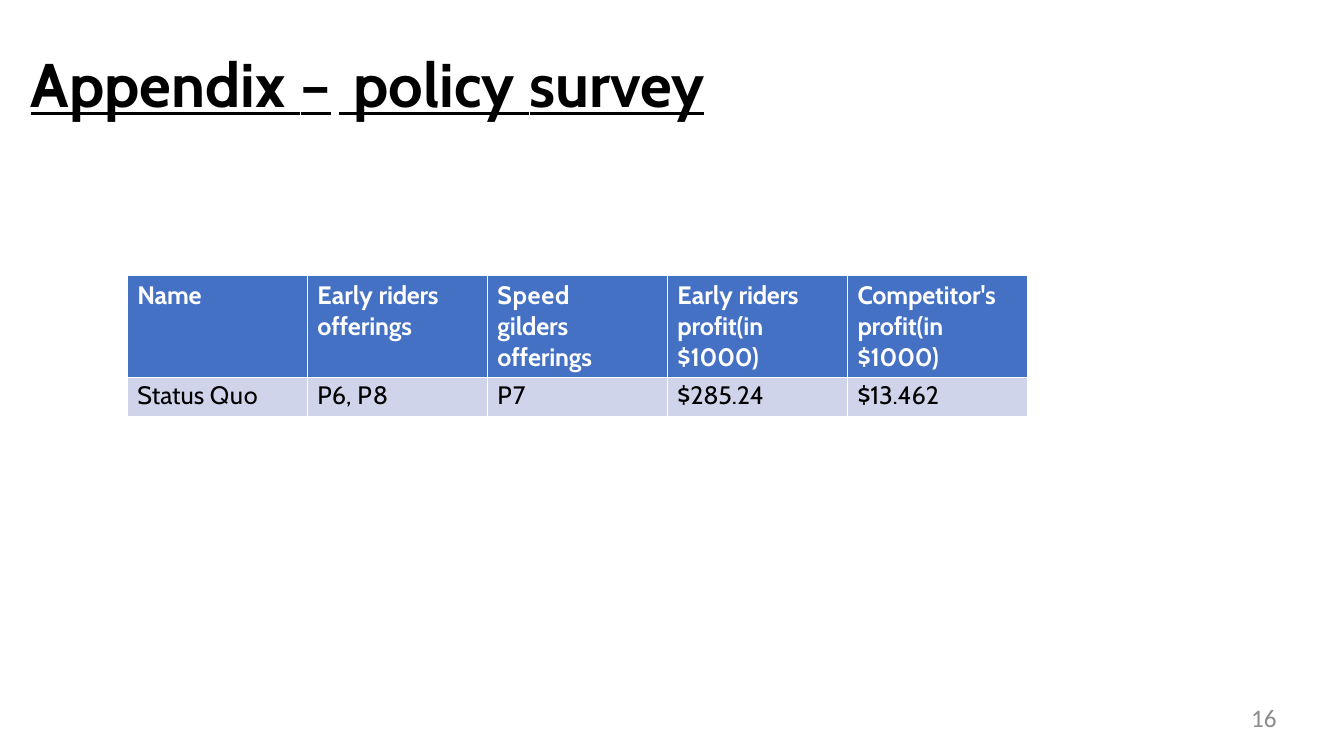
from lxml import etree
from pptx import Presentation
from pptx.dml.color import RGBColor
from pptx.enum.text import MSO_ANCHOR, MSO_AUTO_SIZE, PP_ALIGN
from pptx.oxml.ns import qn
from pptx.util import Pt

TOP = MSO_ANCHOR.TOP
GROW = MSO_AUTO_SIZE.SHAPE_TO_FIT_TEXT
LEFT, RIGHT = PP_ALIGN.LEFT, PP_ALIGN.RIGHT
COLORS = {"black": "000000", "white": "FFFFFF", "header": "4471C4",
          "body": "CFD4EA", "number": "8C8C8C"}

TITLE = [("Appendix", 0), (" ", 0.6), ("–", 5.8), (" ", -0.3),
         ("policy", 0), (" ", 0.6), ("survey", -0.1)]
HEADERS = [
    [[("Name", -0.2)]],
    [[("Early ", 0), ("riders ", -0.2), ("offerings", -0.1)]],
    [[("Speed ", 0.5), ("gilders offerings", -0.1)]],
    [[("Early ", 0), ("riders ", -0.2), ("profit(in", -0.1)], [("$1000)", -0.1)]],
    [[("Competitor's profit(in", -0.1)], [("$1000)", -0.1)]],
]
STATUS_QUO = [
    [[("Status ", 0), ("Quo", 0.5)]],
    [[("P6, ", 0), ("P8", 0.8)]],
    [[("P7", 0.8)]],
    [[("$285.24", -0.1)]],
    [[("$13.462", -0.1)]],
]


def add_spans(para, spans, size, color, font="Cabin", bold=False, underline=False):
    for text, spacing in spans:
        span = para.add_run()
        span.text = text
        span.font.name = font
        span.font.size = Pt(size)
        span.font.bold = bold
        span.font.underline = underline
        span.font.color.rgb = RGBColor.from_string(COLORS[color])
        if spacing:
            span.font._element.set("spc", str(round(spacing * 100)))


def clear_insets(frame, top=0):
    frame.margin_left = frame.margin_right = frame.margin_bottom = 0
    frame.margin_top = Pt(top)


def place(shape, left, top, width, height):
    shape.left, shape.top = Pt(left), Pt(top)
    shape.width, shape.height = Pt(width), Pt(height)


def add_title(page, left, top, width, height):
    box = page.shapes.title
    place(box, left, top, width, height)
    frame = box.text_frame
    clear_insets(frame, top=1)
    frame.word_wrap = True
    frame.auto_size = GROW
    frame.vertical_anchor = TOP
    para = frame.paragraphs[0]
    para.alignment = LEFT
    para.space_before = Pt(1.1)
    add_spans(para, TITLE, 44, "black", bold=True, underline=True)


def draw_borders(cell, sides):
    properties = cell._tc.get_or_add_tcPr()
    for position, side in enumerate(sides):
        line = etree.Element(qn(f"a:ln{side}"), w=str(Pt(1)))
        fill = etree.SubElement(line, qn("a:solidFill"))
        etree.SubElement(fill, qn("a:srgbClr"), val=COLORS["white"])
        properties.insert(position, line)


def fill_cell(cell, paragraphs, fill, color, bold, inset, sides):
    cell.fill.solid()
    cell.fill.fore_color.rgb = RGBColor.from_string(COLORS[fill])
    clear_insets(cell, inset)
    cell.margin_left = Pt(7.2)
    cell.vertical_anchor = TOP
    for index, spans in enumerate(paragraphs):
        frame = cell.text_frame
        para = frame.add_paragraph() if index else frame.paragraphs[0]
        para.space_before = Pt(0 if index else inset)
        add_spans(para, spans, 18, color, bold=bold)
    draw_borders(cell, sides)


def add_survey_table(page, left, top, width, row_heights):
    table = page.shapes.add_table(2, len(HEADERS), Pt(left), Pt(top),
                                  Pt(width), Pt(sum(row_heights))).table
    for row, height in zip(table.rows, row_heights):
        row.height = Pt(height)
    for index, column in enumerate(table.columns):
        column.width = Pt(width / len(HEADERS))
        fill_cell(table.cell(0, index), HEADERS[index], "header", "white", True, 3.3, "LRT")
        fill_cell(table.cell(1, index), STATUS_QUO[index], "body", "black", False, 1.6, "LRB")
    table.cell(0, 2).margin_right = Pt(40)


def add_page_number(page, left, top, width, height):
    box = page.shapes.add_textbox(Pt(left), Pt(top), Pt(width), Pt(height))
    frame = box.text_frame
    clear_insets(frame)
    frame.word_wrap = True
    frame.auto_size = GROW
    para = frame.paragraphs[0]
    para.alignment = RIGHT
    add_spans(para, [("16", 0)], 18, "number", font="Calibri")


def main():
    deck = Presentation()
    deck.slide_width, deck.slide_height = Pt(960), Pt(540)
    page = deck.slides.add_slide(deck.slide_layouts.get_by_name("Title Only"))
    add_title(page, 22, 32, 520, 55)
    add_survey_table(page, 91, 196.8, 643, [73, 27.5])
    add_page_number(page, 691, 502, 221, 27)
    deck.save("out.pptx")


if __name__ == "__main__":
    main()
